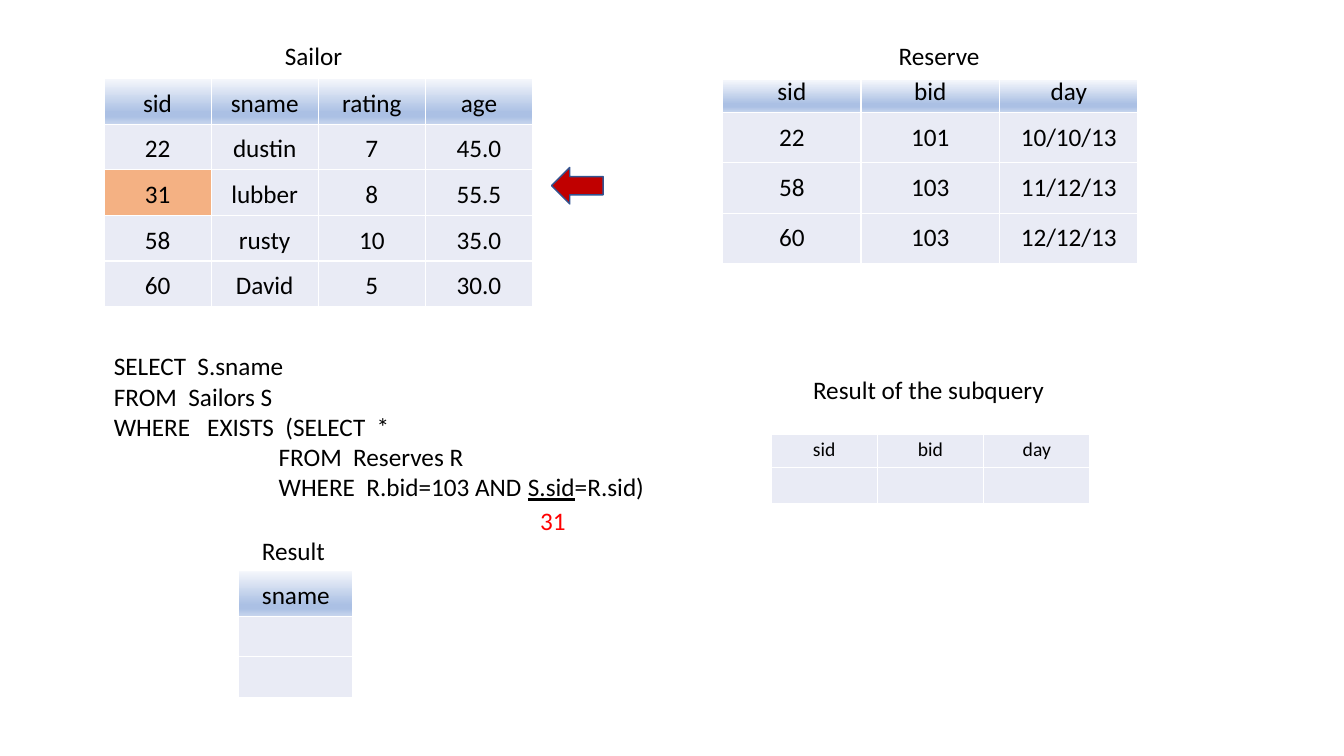
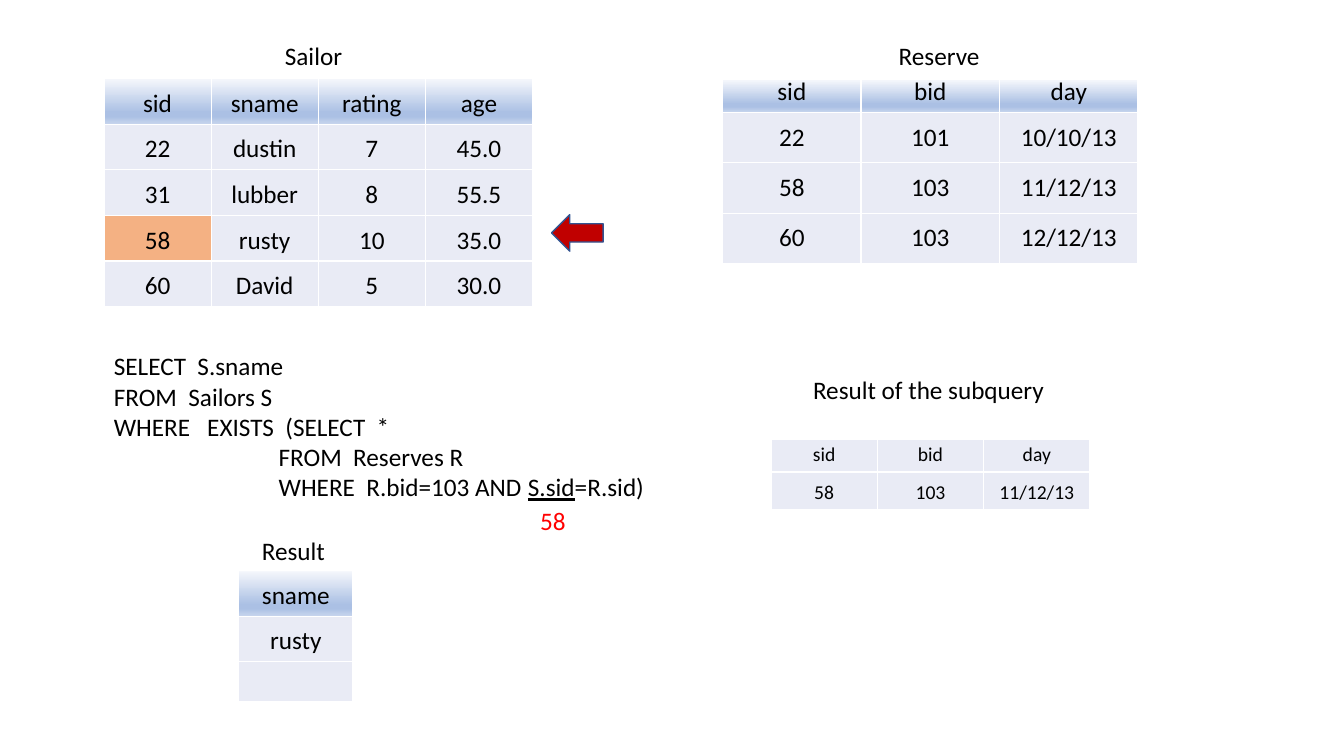
"""Build two slides that step through a correlated EXISTS subquery."""
from lxml import etree
from pptx import Presentation
from pptx import util as u
from pptx.dml.color import RGBColor
from pptx.enum import shapes, text
from pptx.oxml import ns

FONT = "Calibri"
BLACK, WHITE, RED = "000000", "FFFFFF", "FF0000"
CELL, MARKED = "E9EBF5", "F4B183"
ARROW_FILL, ARROW_LINE = "C00000", "325491"
HEADER_STOPS = [(0, "F6F8FC"), (74, "ABC0E4"), (83, "ABC0E4"), (100, "C7D5ED")]
COMPACT = u.Pt(16.1)

SAILORS = [
    ["sid", "sname", "rating", "age"],
    ["22", "dustin", "7", "45.0"],
    ["31", "lubber", "8", "55.5"],
    ["58", "rusty", "10", "35.0"],
    ["60", "David", "5", "30.0"],
]
RESERVES = [
    ["sid", "bid", "day"],
    ["22", "101", "10/10/13"],
    ["58", "103", "11/12/13"],
    ["60", "103", "12/12/13"],
]
QUERY = [
    ["SELECT  S.sname"],
    ["FROM  Sailors S"],
    ["WHERE   EXISTS  (SELECT  *"],
    ["                             FROM  Reserves R"],
    ["                             WHERE  R.bid=103 AND ", "S.sid", "=R.sid)"],
]


def color(value):
    return RGBColor.from_string(value)


def add_element(parent, tag, **attributes):
    return etree.SubElement(parent, ns.qn(tag), **attributes)


def write_text(paragraph, content, *, size=18, ink=BLACK, underline=None,
               align=None, spacing=None):
    if align is not None:
        paragraph.alignment = align
    if spacing is not None:
        paragraph.line_spacing = spacing
    run = paragraph.add_run()
    run.text = content
    run.font.name = FONT
    run.font.size = u.Pt(size)
    run.font.color.rgb = color(ink)
    run.font.underline = underline


def add_box(slide, left, top, width, height=1.02, wrap=False):
    box = slide.shapes.add_textbox(u.Cm(left), u.Cm(top), u.Cm(width), u.Cm(height))
    frame = box.text_frame
    frame.word_wrap = wrap
    frame.auto_size = text.MSO_AUTO_SIZE.SHAPE_TO_FIT_TEXT
    return frame


def add_label(slide, content, left, top, width, **style):
    write_text(add_box(slide, left, top, width).paragraphs[0], content, **style)


def add_query(slide):
    frame = add_box(slide, 2.62, 8.71, 15.24, 4.11, wrap=True)
    for index, line in enumerate(QUERY):
        paragraph = frame.add_paragraph() if index else frame.paragraphs[0]
        for part in line:
            write_text(paragraph, part, underline=True if part == "S.sid" else None)


def fill_header(cell):
    gradient = add_element(cell._tc.get_or_add_tcPr(), "a:gradFill", rotWithShape="1")
    stops = add_element(gradient, "a:gsLst")
    for position, value in HEADER_STOPS:
        stop = add_element(stops, "a:gs", pos=str(position * 1000))
        add_element(stop, "a:srgbClr", val=str(color(value)))
    add_element(gradient, "a:lin", ang="5400000", scaled="0")


def fill_cell(cell, value):
    cell.fill.solid()
    cell.fill.fore_color.rgb = color(value)


def add_borders(cell):
    properties = cell._tc.get_or_add_tcPr()
    for index, side in enumerate(("a:lnL", "a:lnR", "a:lnT", "a:lnB")):
        line = add_element(properties, side, w=str(u.Pt(1)))
        fill = add_element(line, "a:solidFill")
        add_element(fill, "a:srgbClr", val=str(color(WHITE)))
        properties.insert(index, line)


def write_cell(cell, content, size, spacing):
    paragraph = cell.text_frame.paragraphs[0]
    if content:
        write_text(paragraph, content, size=size, spacing=spacing,
                   align=text.PP_ALIGN.CENTER)
    else:
        add_element(paragraph._p, "a:endParaRPr", sz=str(size * 100))


def add_grid(slide, rows, left, top, column_width, header_height, row_height, *,
             size=18, header_spacing=1.15, shaded_header=True, marked_row=None):
    heights = [header_height] + [row_height] * (len(rows) - 1)
    frame = slide.shapes.add_table(
        len(rows), len(rows[0]), u.Cm(left), u.Cm(top),
        u.Cm(column_width * len(rows[0])), u.Cm(sum(heights)))
    table = frame.table
    table.first_row = table.horz_banding = False
    for column in table.columns:
        column.width = u.Cm(column_width)
    for row_index, values in enumerate(rows):
        table.rows[row_index].height = u.Cm(heights[row_index])
        for column_index, value in enumerate(values):
            cell = table.cell(row_index, column_index)
            write_cell(cell, value, size, 1.15 if row_index else header_spacing)
            if row_index == 0 and shaded_header:
                fill_header(cell)
            else:
                is_marked = row_index == marked_row and column_index == 0
                fill_cell(cell, MARKED if is_marked else CELL)
            add_borders(cell)


def add_row_arrow(slide, row):
    arrow = slide.shapes.add_shape(
        shapes.MSO_SHAPE.LEFT_ARROW, u.Cm(13.9), u.Cm(4.22 + 1.19 * (row - 2)),
        u.Cm(1.3), u.Cm(0.92))
    arrow.shadow.inherit = False
    arrow.fill.solid()
    arrow.fill.fore_color.rgb = color(ARROW_FILL)
    arrow.line.color.rgb = color(ARROW_LINE)
    arrow.line.width = u.Pt(1)


def add_step(presentation, row, match, result, subquery_top):
    slide = presentation.slides.add_slide(presentation.slide_layouts[6])
    add_grid(slide, SAILORS, 2.62, 1.98, 2.7, 1.15, 1.15, marked_row=row)
    add_grid(slide, RESERVES, 18.21, 2.01, 3.49, 0.82, 1.27, header_spacing=COMPACT)
    add_query(slide)
    add_grid(slide, [["sname"], [result], [""]], 6.02, 14.38, 2.87, 1.15, 1.02)
    add_label(slide, "Result", 6.35, 13.36, 2.11)
    add_label(slide, "Reserve", 22.4, 0.89, 2.57)
    add_label(slide, "Result of the subquery", 20.24, 9.3, 6.4)
    add_label(slide, "Sailor", 6.93, 0.89, 1.98)
    add_grid(slide, [RESERVES[0], match], 19.43, subquery_top, 2.68, 0.82, 0.91,
             size=14, header_spacing=COMPACT, shaded_header=False)
    add_row_arrow(slide, row)
    add_label(slide, SAILORS[row][0], 13.36, 12.6, 1.17, ink=RED)


def main():
    presentation = Presentation()
    presentation.slide_width = u.Cm(33.87)
    presentation.slide_height = u.Cm(19.05)
    add_step(presentation, 2, [""] * 3, "", 10.95)
    add_step(presentation, 3, RESERVES[2], "rusty", 11.07)
    presentation.save("out.pptx")


if __name__ == "__main__":
    main()
